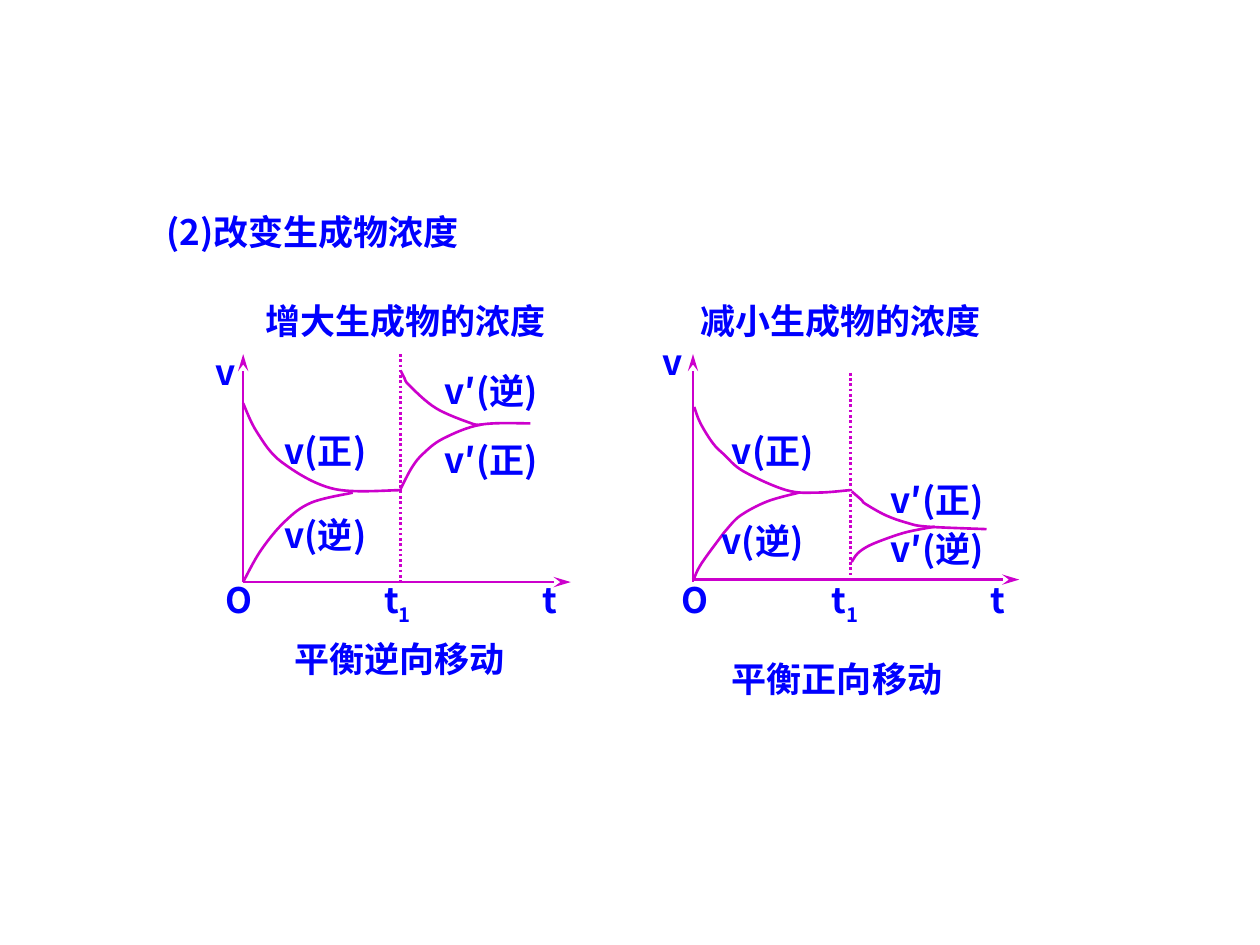
from dataclasses import dataclass

from lxml.etree import SubElement
from pptx import Presentation
from pptx.dml.color import RGBColor
from pptx.enum.dml import MSO_LINE_DASH_STYLE as DASH
from pptx.enum.shapes import MSO_CONNECTOR_TYPE as CONNECTOR
from pptx.enum.text import MSO_ANCHOR, MSO_AUTO_SIZE, PP_ALIGN
from pptx.oxml.ns import qn
from pptx.util import Inches, Pt

BLUE = RGBColor(0x00, 0x00, 0xFF)
MAGENTA = RGBColor(0xCC, 0x00, 0xCC)
FONT = "Noto Sans CJK SC"
TEXT_H, SUBSCRIPT_H = 0.44, 0.48
AXIS_W, AXIS_TOP, AXIS_BOTTOM = 2.6, 2.81, 4.62
T1 = 1.25  # distance of the moment t1 from the v axis


@dataclass
class Graph:
    """Labels are (text, x, y, width); every x is measured from the v axis."""
    left: float
    base_start: float
    base: float
    t1_top: float
    labels: list
    curves: list


INCREASE = Graph(
    left=1.93, base_start=0, base=4.62, t1_top=2.81,
    labels=[
        ("增大生成物的浓度", 0.08, 2.33, 2.76),
        ("v", -0.32, 2.73, 0.39), ("O", -0.24, 4.54, 0.39),
        ("t_1", 1.02, 4.54, 0.63), ("t", 2.28, 4.54, 0.79),
        ("v(正)", 0.23, 3.36, 1.02), ("v(逆)", 0.23, 4.03, 1.02),
        ("v′(逆)", 1.5, 2.88, 1.5), ("v′(正)", 1.5, 3.43, 1.5),
        ("平衡逆向移动", 0.31, 5.01, 2.44),
    ],
    curves=[
        [(0, 3.2), (0.11, 3.43), (0.31, 3.67), (0.72, 3.88), (1.26, 3.89)],
        [(0, 4.62), (0.14, 4.37), (0.33, 4.14), (0.54, 3.99), (0.87, 3.91)],
        [(1.25, 3.88), (1.34, 3.71), (1.43, 3.6), (1.59, 3.48),
         (1.89, 3.37), (2.28, 3.36)],
        [(1.25, 2.94), (1.28, 3), (1.32, 3.06), (1.53, 3.24),
         (1.81, 3.36), (1.89, 3.37)],
    ],
)

DECREASE = Graph(
    left=5.5, base_start=-0.01, base=4.6, t1_top=2.96,
    labels=[
        ("减小生成物的浓度", -0.04, 2.33, 2.76),
        ("v", -0.34, 2.65, 0.39), ("O", -0.19, 4.54, 0.39),
        ("t_1", 1, 4.54, 0.87), ("t", 2.26, 4.54, 0.79),
        ("v(正)", 0.21, 3.36, 1.02), ("v(逆)", 0.13, 4.07, 1.02),
        ("v′(正)", 1.47, 3.75, 1.5), ("v′(逆)", 1.47, 4.14, 1.5),
        ("平衡正向移动", 0.21, 5.17, 2.28),
    ],
    curves=[
        [(0.01, 3.23), (0.06, 3.36), (0.16, 3.52), (0.25, 3.61),
         (0.4, 3.74), (0.74, 3.89), (0.99, 3.91), (1.25, 3.89)],
        [(0.01, 4.59), (0.04, 4.52), (0.09, 4.44), (0.2, 4.29),
         (0.27, 4.2), (0.38, 4.09), (0.59, 3.98), (0.84, 3.91)],
        [(1.26, 3.9), (1.34, 3.97), (1.37, 4), (1.53, 4.09),
         (1.7, 4.15), (1.86, 4.18), (2.33, 4.2)],
        [(1.26, 4.46), (1.31, 4.39), (1.4, 4.33), (1.55, 4.27),
         (1.71, 4.22), (1.92, 4.18)],
    ],
)


def write_text(sp, text):
    """Fill a shape with one line; an underscore starts a subscript."""
    tf = sp.text_frame
    tf.word_wrap = True
    tf.auto_size = MSO_AUTO_SIZE.SHAPE_TO_FIT_TEXT
    tf.vertical_anchor = MSO_ANCHOR.TOP
    p = tf.paragraphs[0]
    p.alignment = PP_ALIGN.LEFT
    font = p.font
    font.size, font.bold, font.name = Pt(20), True, FONT
    font.color.rgb = BLUE
    SubElement(p._p.pPr.find(qn("a:defRPr")), qn("a:ea"), typeface=FONT)
    base, _, subscript = text.partition("_")
    p.add_run().text = base
    if subscript:
        r = p.add_run()
        r.text = subscript
        r._r.get_or_add_rPr().set("baseline", "-25000")


def add_title(slide, text):
    sp = slide.shapes.title
    sp.left, sp.top = Inches(1.22), Inches(1.62)
    sp.width, sp.height = Inches(4.65), Inches(TEXT_H)
    write_text(sp, text)


def add_label(slide, text, x, y, width):
    height = SUBSCRIPT_H if "_" in text else TEXT_H
    sp = slide.shapes.add_textbox(
        Inches(x), Inches(y), Inches(width), Inches(height))
    write_text(sp, text)


def style_line(line):
    line.color.rgb = MAGENTA
    line.width = Pt(1.5)


def add_line(slide, x1, y1, x2, y2):
    c = slide.shapes.add_connector(
        CONNECTOR.STRAIGHT, Inches(x1), Inches(y1), Inches(x2), Inches(y2))
    style_line(c.line)
    SubElement(c._element.spPr, qn("a:effectLst"))
    return c


def add_axis(slide, *ends):
    c = add_line(slide, *ends)
    SubElement(c.line._get_or_add_ln(), qn("a:tailEnd"),
               type="stealth", w="med", len="lg")


def add_dotted_line(slide, *ends):
    add_line(slide, *ends).line.dash_style = DASH.ROUND_DOT


def bend(sp):
    """Turn the straight segments of a freeform into one smooth curve."""
    outline = sp._element.find(".//" + qn("a:path"))
    knots = [(int(pt.get("x")), int(pt.get("y")))
             for pt in outline.iter(qn("a:pt"))]
    padded = [knots[0], *knots, knots[-1]]
    for segment in outline.findall(qn("a:lnTo")):
        outline.remove(segment)
    for before, start, end, after in zip(
            padded, padded[1:], padded[2:], padded[3:]):
        leave = [s + (e - b) / 6 for b, s, e in zip(before, start, end)]
        arrive = [e - (a - s) / 6 for s, e, a in zip(start, end, after)]
        curve = SubElement(outline, qn("a:cubicBezTo"))
        for x, y in (leave, arrive, end):
            SubElement(curve, qn("a:pt"), x=str(round(x)), y=str(round(y)))


def add_curve(slide, left, knots):
    points = [(Inches(left + x), Inches(y)) for x, y in knots]
    builder = slide.shapes.build_freeform(*points[0])
    builder.add_line_segments(points[1:], close=False)
    sp = builder.convert_to_shape()
    bend(sp)
    sp.shadow.inherit = False
    sp.fill.background()
    style_line(sp.line)


def add_graph(slide, graph):
    x, base = graph.left, graph.base
    start = x + graph.base_start
    add_axis(slide, start, base, start + AXIS_W, base)
    add_axis(slide, x, AXIS_BOTTOM, x, AXIS_TOP)
    add_dotted_line(slide, x + T1, graph.t1_top, x + T1, AXIS_BOTTOM)
    for knots in graph.curves:
        add_curve(slide, x, knots)
    for text, dx, y, width in graph.labels:
        add_label(slide, text, x + dx, y, width)


def main():
    prs = Presentation()
    prs.slide_width, prs.slide_height = Inches(10), Inches(7.5)
    slide = prs.slides.add_slide(prs.slide_layouts[5])
    add_title(slide, "(2)改变生成物浓度")
    for graph in (INCREASE, DECREASE):
        add_graph(slide, graph)
    prs.save("out.pptx")


if __name__ == "__main__":
    main()
